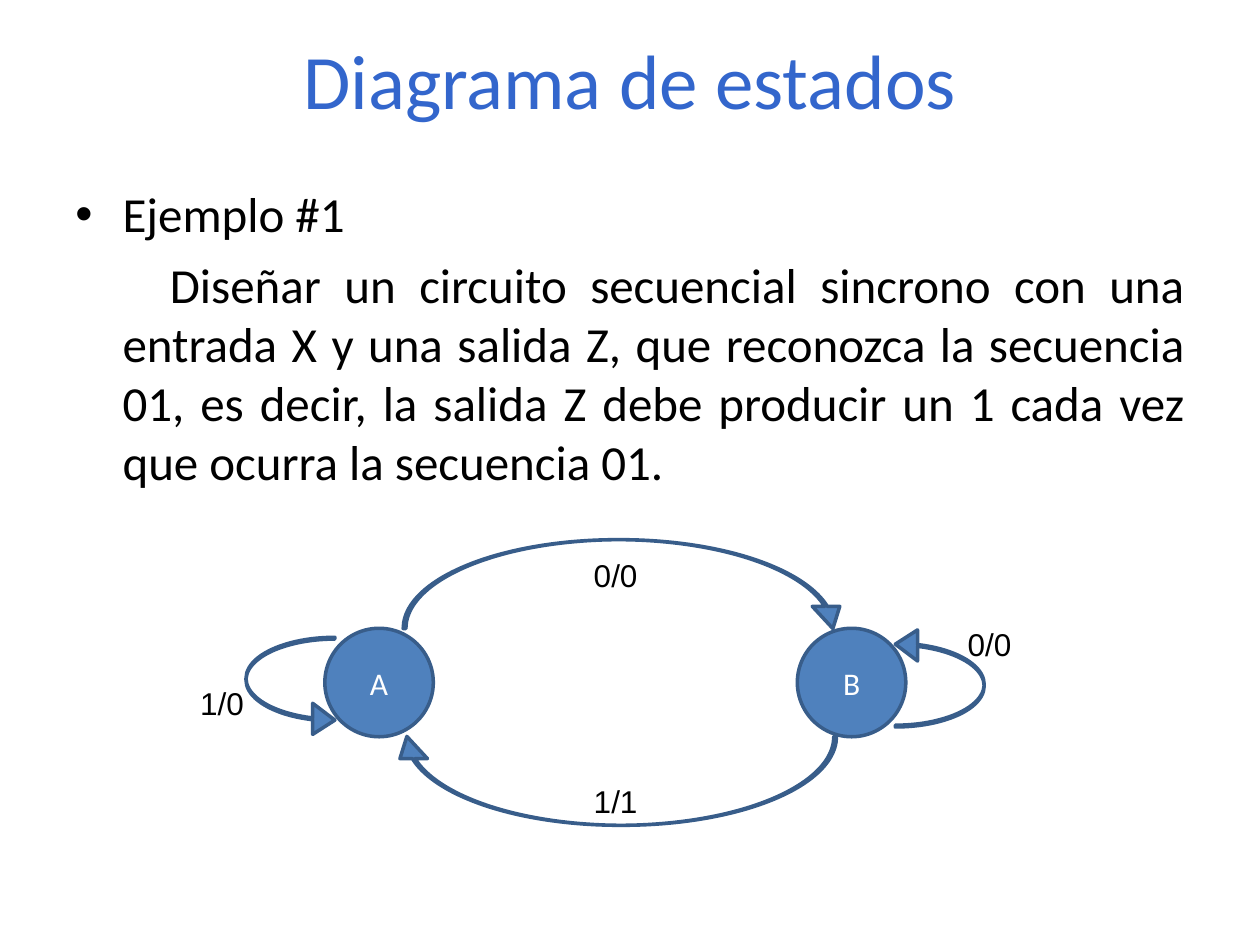
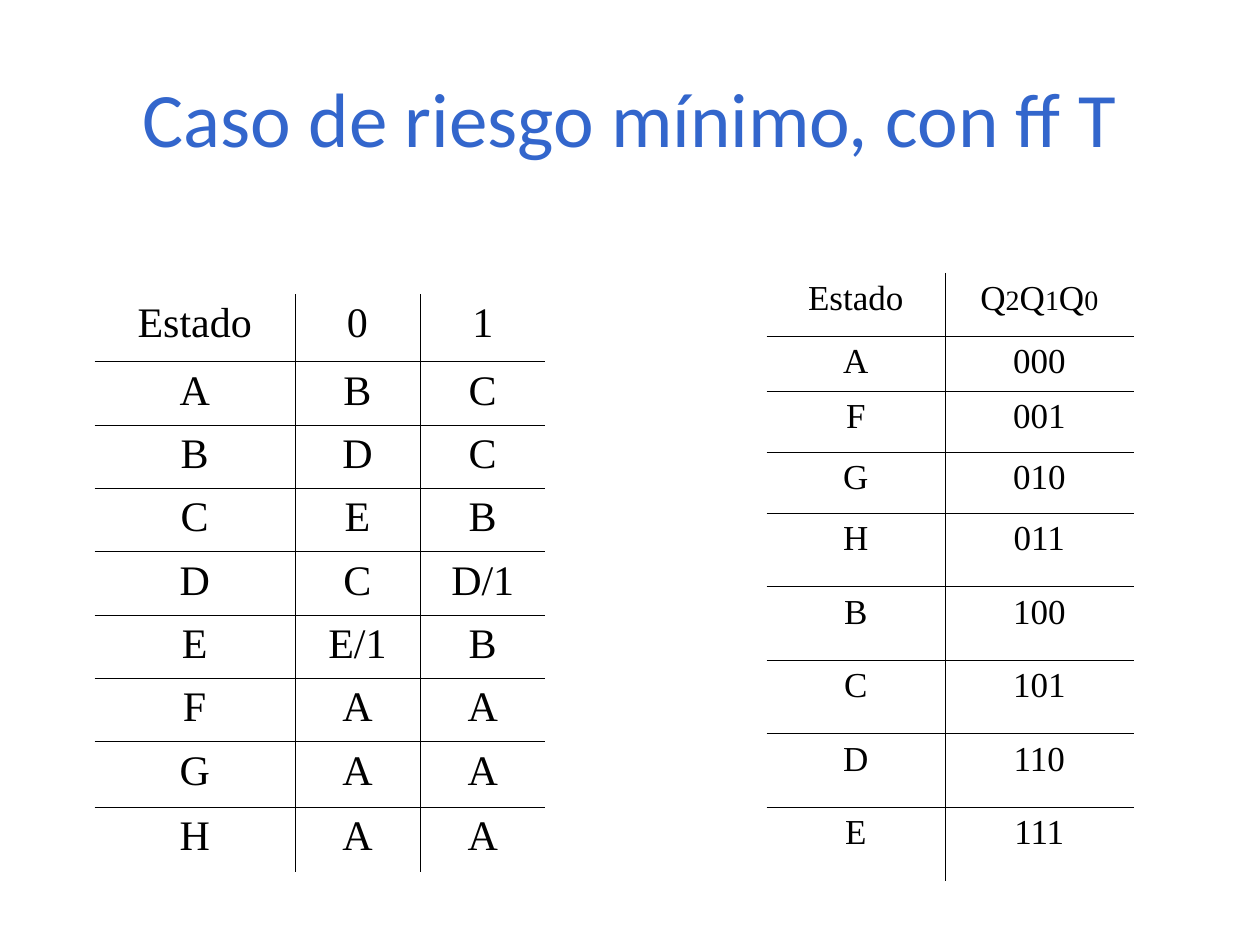
from lxml import etree
from pptx import Presentation
from pptx.dml.color import RGBColor
from pptx.enum.shapes import MSO_SHAPE
from pptx.enum.text import MSO_ANCHOR, MSO_AUTO_SIZE, PP_ALIGN
from pptx.oxml.ns import qn
from pptx.util import Pt

OVAL = MSO_SHAPE.OVAL
LOOP_ARROW = MSO_SHAPE.CURVED_RIGHT_ARROW
ARC_ARROW = MSO_SHAPE.CURVED_DOWN_ARROW
MIDDLE = MSO_ANCHOR.MIDDLE
NO_AUTOFIT = MSO_AUTO_SIZE.NONE
CENTER, JUSTIFY, LEFT = PP_ALIGN.CENTER, PP_ALIGN.JUSTIFY, PP_ALIGN.LEFT

TITLE_BLUE = RGBColor(0x33, 0x66, 0xCC)
STATE_BLUE = RGBColor(0x4F, 0x81, 0xBD)
EDGE_BLUE = RGBColor(0x38, 0x5D, 0x8A)
BLACK = RGBColor(0, 0, 0)
WHITE = RGBColor(0xFF, 0xFF, 0xFF)

BODY_FONT, LABEL_FONT, TABLE_FONT = "Calibri", "Arial", "Times New Roman"
TITLE_ONLY = 5
BORDER = 0.45
HANG = 27

STATES = [("A", 185.6), ("B", 455.6)]
LABELS = [("1/0", 107.3, 387.4), ("0/0", 332.2, 314.2),
          ("1/1", 332.2, 443.5), ("0/0", 545.8, 353.5)]

# Size, then shaft width, head width and head length as shares of the short side
LOOP = (LOOP_ARROW, 50.8, 56.2, (0.02, 0.35, 0.25))
ARC = (ARC_ARROW, 253.4, 50.8, (0.03, 0.31, 0.25))
ARROWS = [(LOOP, 140.6, 364.2, 0), (LOOP, 511.6, 359.2, 180),
          (ARC, 230.4, 308.4, 0), (ARC, 224.6, 420.8, 180)]

TRANSITIONS = [
    ["Estado", "0", "1"],
    ["A", "B", "C"],
    ["B", "D", "C"],
    ["C", "E", "B"],
    ["D", "C", "D/1"],
    ["E", "E/1", "B"],
    ["F", "A", "A"],
    ["G", "A", "A"],
    ["H", "A", "A"],
]
# Each state takes the binary code of its position
CODES = [["Estado", "Q2Q1Q0"]]
CODES += [[state, f"{i:03b}"] for i, state in enumerate("AFGHBCDE")]


def add_run(p, text, size, font, color):
    r = p.add_run()
    r.text = text
    r.font.size = Pt(size)
    r.font.name = font
    r.font.color.rgb = color


def add_title(s, text, x, y, w, h):
    sp = s.shapes.title
    sp.left, sp.top, sp.width, sp.height = Pt(x), Pt(y), Pt(w), Pt(h)
    tf = sp.text_frame
    tf.auto_size = NO_AUTOFIT
    tf.vertical_anchor = MIDDLE
    p = tf.paragraphs[0]
    p.alignment = CENTER
    add_run(p, text, 44, BODY_FONT, TITLE_BLUE)


def add_textbox(s, x, y, w, h, wrap):
    tf = s.shapes.add_textbox(Pt(x), Pt(y), Pt(w), Pt(h)).text_frame
    tf.word_wrap = wrap
    return tf


def set_indent(p, margin, indent, bullet=None):
    pPr = p._p.get_or_add_pPr()
    pPr.set("marL", str(Pt(margin)))
    pPr.set("indent", str(Pt(indent)))
    if bullet:
        etree.SubElement(pPr, qn("a:buFont"), typeface="Arial")
        etree.SubElement(pPr, qn("a:buChar"), char=bullet)


def add_statement(s, heading, text):
    tf = add_textbox(s, 36, 101.5, 648, 194.4, True)
    p = tf.paragraphs[0]
    p.alignment = LEFT
    set_indent(p, HANG, -HANG, "•")
    add_run(p, heading, 28, BODY_FONT, BLACK)
    p = tf.add_paragraph()
    p.alignment = JUSTIFY
    p.space_before = Pt(7)
    set_indent(p, HANG, HANG)
    add_run(p, text, 28, BODY_FONT, BLACK)


def add_blue_shape(s, kind, x, y, w, h):
    sp = s.shapes.add_shape(kind, Pt(x), Pt(y), Pt(w), Pt(h))
    sp.shadow.inherit = False
    sp.fill.solid()
    sp.fill.fore_color.rgb = STATE_BLUE
    sp.line.color.rgb = EDGE_BLUE
    sp.line.width = Pt(2)
    return sp


def add_state(s, name, x):
    tf = add_blue_shape(s, OVAL, x, 359, 62, 62).text_frame
    tf.vertical_anchor = MIDDLE
    p = tf.paragraphs[0]
    p.alignment = CENTER
    add_run(p, name, 18, BODY_FONT, WHITE)


def add_arrow(s, style, x, y, rotation):
    kind, w, h, proportions = style
    sp = add_blue_shape(s, kind, x, y, w, h)
    for i, value in enumerate(proportions):
        sp.adjustments[i] = value
    sp.rotation = rotation


def add_label(s, text, x, y):
    p = add_textbox(s, x, y, 39.6, 28.8, False).paragraphs[0]
    add_run(p, text, 18, LABEL_FONT, BLACK)


def set_border(cell, side, visible):
    ln = etree.SubElement(cell._tc.get_or_add_tcPr(), qn(f"a:ln{side}"),
                          w=str(Pt(BORDER)))
    if visible:
        fill = etree.SubElement(ln, qn("a:solidFill"))
        etree.SubElement(fill, qn("a:srgbClr"), val=str(BLACK))
    else:
        etree.SubElement(ln, qn("a:noFill"))


def fill_cell(cell, text, size):
    p = cell.text_frame.paragraphs[0]
    p.alignment = CENTER
    if text.startswith("Q"):
        # Variable letters stand taller than their indices
        for char in text:
            add_run(p, char, size if char == "Q" else 16, TABLE_FONT, BLACK)
    else:
        add_run(p, text, size, TABLE_FONT, BLACK)


def add_grid(s, rows, x, y, widths, heights, size):
    """Table ruled on the inside only."""
    last_row, last_col = len(rows) - 1, len(widths) - 1
    table = s.shapes.add_table(len(rows), len(widths), Pt(x), Pt(y),
                               Pt(sum(widths)), Pt(sum(heights))).table
    table.first_row = table.horz_banding = False
    for column, width in zip(table.columns, widths):
        column.width = Pt(width)
    for i, row in enumerate(rows):
        table.rows[i].height = Pt(heights[i])
        for j, text in enumerate(row):
            cell = table.cell(i, j)
            fill_cell(cell, text, size)
            set_border(cell, "L", j > 0)
            set_border(cell, "R", j < last_col)
            set_border(cell, "T", i > 0)
            set_border(cell, "B", i < last_row)
            cell.fill.background()


def add_diagram_slide(prs):
    s = prs.slides.add_slide(prs.slide_layouts[TITLE_ONLY])
    add_title(s, "Diagrama de estados", 54, 0, 612, 90)
    add_statement(
        s, "Ejemplo #1",
        "Diseñar un circuito secuencial sincrono con una entrada X y una salida Z, "
        "que reconozca la secuencia 01, es decir, la salida Z debe producir un 1 "
        "cada vez que ocurra la secuencia 01.")
    for state in STATES:
        add_state(s, *state)
    for arrow in ARROWS:
        add_arrow(s, *arrow)
    for label in LABELS:
        add_label(s, *label)


def add_tables_slide(prs):
    s = prs.slides.add_slide(prs.slide_layouts[TITLE_ONLY])
    add_title(s, "Caso de riesgo mínimo, con ff T", 36, 21.6, 648, 90)
    # State codes on the right, transitions on the left
    add_grid(s, CODES, 438, 156, [102, 107.8],
             [36, 31.5, 34.9, 34.9] + [42] * 5, 20)
    add_grid(s, TRANSITIONS, 54, 168, [114.5, 71.6, 71.6],
             [38.6] + [36.2] * 6 + [37.4] * 2, 24)


def main():
    prs = Presentation()
    prs.slide_width, prs.slide_height = Pt(720), Pt(540)
    add_diagram_slide(prs)
    add_tables_slide(prs)
    prs.save("out.pptx")


if __name__ == "__main__":
    main()
